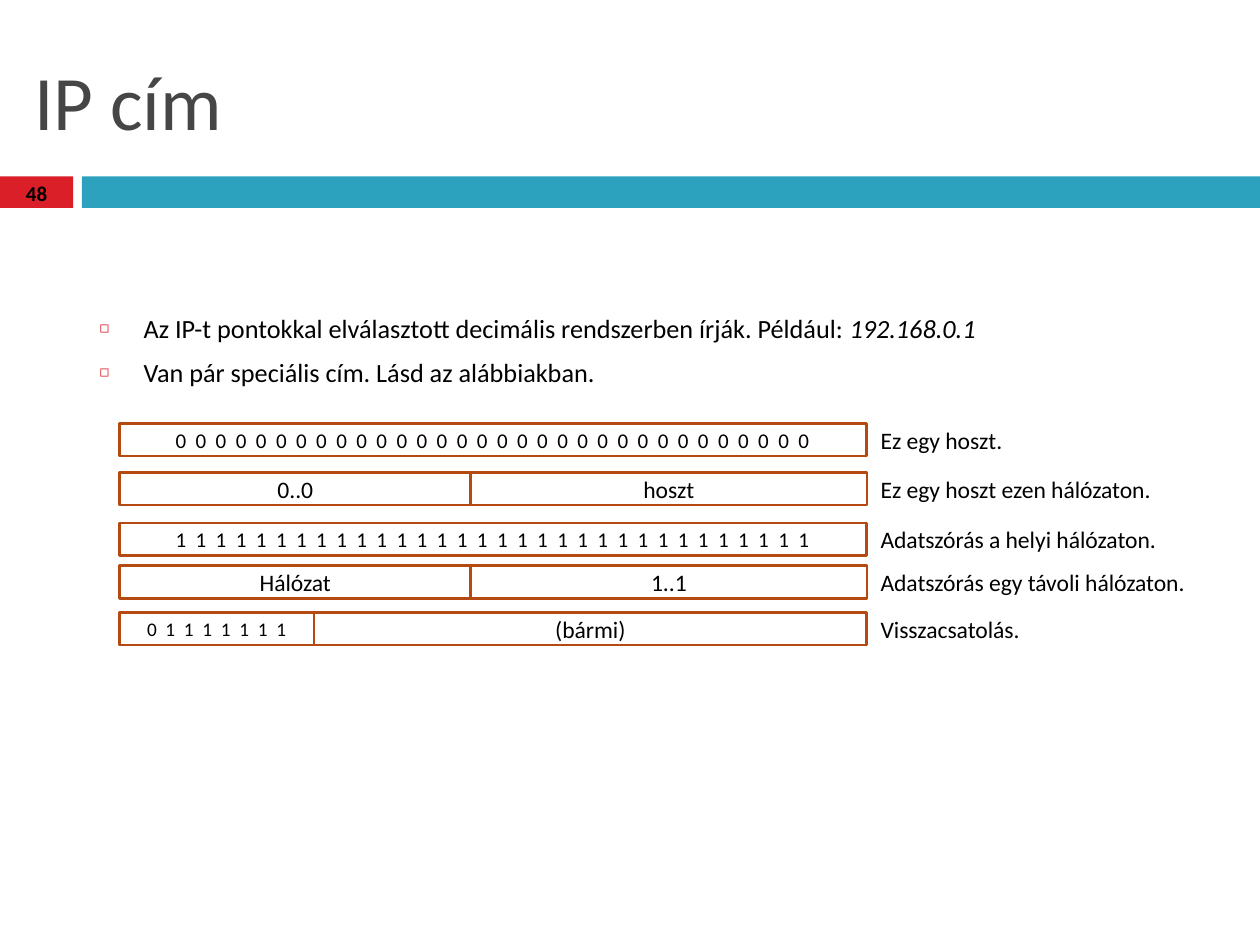
import pptx
import pptx.util
import pptx.dml.color
import pptx.enum.shapes
import pptx.enum.text
from lxml import etree

COLORS = {"red": "DA1F28", "teal": "2DA2BF", "title": "464646",
          "text": "000000", "border": "B54A10"}
FONT = "Calibri"
ALIGN = pptx.enum.text.PP_ALIGN
ANCHOR = pptx.enum.text.MSO_ANCHOR

TITLE = "IP cím"
PAGE = "48"
BULLETS = [
    [("Az IP-t pontokkal elválasztott decimális rendszerben írják. Például: ", False),
     ("192.168.0.1", True)],
    [("Van pár speciális cím. Lásd az alábbiakban.", False)],
]
LEFT, RIGHT, BOX_H = 0.95, 6.88, 0.26
LABEL_X, LABEL_H = 6.89, 0.33
ROWS = [
    (3.36, [(" ".join("0" * 32), 1, 12, 1.36)], "Ez egy hoszt.", 1.18),
    (3.75, [("0..0", 0.47, 13.5, 0), ("hoszt", 0.53, 13.5, 0)],
     "Ez egy hoszt ezen hálózaton.", 2.38),
    (4.15, [(" ".join("1" * 32), 1, 12, 1.36)], "Adatszórás a helyi hálózaton.", 2.45),
    (4.49, [("Hálózat", 0.47, 13.5, 0), ("1..1", 0.53, 13.5, 0)],
     "Adatszórás egy távoli hálózaton.", 2.69),
    (4.86, [(" ".join("01111111"), 0.26, 11, 1.24), ("(bármi)", 0.74, 13.5, 0)],
     "Visszacsatolás.", 1.31),
]

prs = pptx.Presentation()
prs.slide_width, prs.slide_height = pptx.util.Inches(10), pptx.util.Inches(7.5)
s = prs.slides.add_slide(prs.slide_layouts[1])


def rgb(name):
    return pptx.dml.color.RGBColor.from_string(COLORS[name])


def inches(*values):
    return [pptx.util.Inches(v) for v in values]


def place(sp, *box):
    sp.left, sp.top, sp.width, sp.height = inches(*box)


def add_run(p, text, size, color="text", bold=False, italic=False, spacing=0):
    r = p.add_run()
    r.text = text
    r.font.name, r.font.size = FONT, pptx.util.Pt(size)
    r.font.bold, r.font.italic = bold, italic
    r.font.color.rgb = rgb(color)
    if spacing:
        r.font._element.set("spc", str(round(spacing * 100)))


def add_rect(box, fill=None, line=None):
    sp = s.shapes.add_shape(pptx.enum.shapes.MSO_SHAPE.RECTANGLE, *inches(*box))
    sp.shadow.inherit = False
    if fill:
        sp.fill.solid()
        sp.fill.fore_color.rgb = rgb(fill)
    else:
        sp.fill.background()
    if line:
        sp.line.color.rgb = rgb(line)
        sp.line.width = pptx.util.Pt(1.5)
    else:
        sp.line.fill.background()
    return sp


def add_label(box, text, size, align=ALIGN.LEFT, anchor=ANCHOR.TOP, bold=False, wrap=False):
    tf = s.shapes.add_textbox(*inches(*box)).text_frame
    tf.word_wrap, tf.vertical_anchor = wrap, anchor
    tf.paragraphs[0].alignment = align
    add_run(tf.paragraphs[0], text, size, bold=bold)


def add_bullet(p):
    pPr = p._p.get_or_add_pPr()
    indent = pptx.util.Inches(0.35)
    pPr.set("marL", str(indent))
    pPr.set("indent", str(-indent))
    color = etree.SubElement(pPr, pptx.oxml.ns.qn("a:buClr"))
    etree.SubElement(color, pptx.oxml.ns.qn("a:srgbClr"), val=COLORS["red"])
    etree.SubElement(pPr, pptx.oxml.ns.qn("a:buSzPct"), val="60000")
    etree.SubElement(pPr, pptx.oxml.ns.qn("a:buChar"), char="◻")


add_rect((0, 1.4, 0.58, 0.25), fill="red")
add_rect((0.65, 1.4, 9.35, 0.25), fill="teal")

title, body = s.placeholders[0], s.placeholders[1]
place(title, 0.17, 0.25, 9.67, 1.08)
tf = title.text_frame
tf.vertical_anchor = ANCHOR.MIDDLE
tf.paragraphs[0].alignment = ALIGN.LEFT
add_run(tf.paragraphs[0], TITLE, 44, "title")

place(body, 0.69, 2.43, 8.62, 0.75)
tf = body.text_frame
tf.auto_size = pptx.enum.text.MSO_AUTO_SIZE.NONE
for i, runs in enumerate(BULLETS):
    p = tf.add_paragraph() if i else tf.paragraphs[0]
    p.space_before = pptx.util.Pt(7)
    add_bullet(p)
    for text, italic in runs:
        add_run(p, text, 15, italic=italic)

for top, fields, label, label_w in ROWS:
    x = LEFT
    for text, share, size, spacing in fields:
        width = share * (RIGHT - LEFT)
        sp = add_rect((x, top, width, BOX_H), line="border")
        tf = sp.text_frame
        tf.word_wrap, tf.vertical_anchor = True, ANCHOR.MIDDLE
        tf.margin_top = tf.margin_bottom = 0
        tf.paragraphs[0].alignment = ALIGN.CENTER
        add_run(tf.paragraphs[0], text, size, spacing=spacing)
        x += width
    add_label((LABEL_X, top - 0.03, label_w, LABEL_H), label, 13.5)

add_label((0, 1.37, 0.58, 0.33), PAGE, 12, ALIGN.CENTER, ANCHOR.MIDDLE, True, True)

prs.save("out.pptx")
